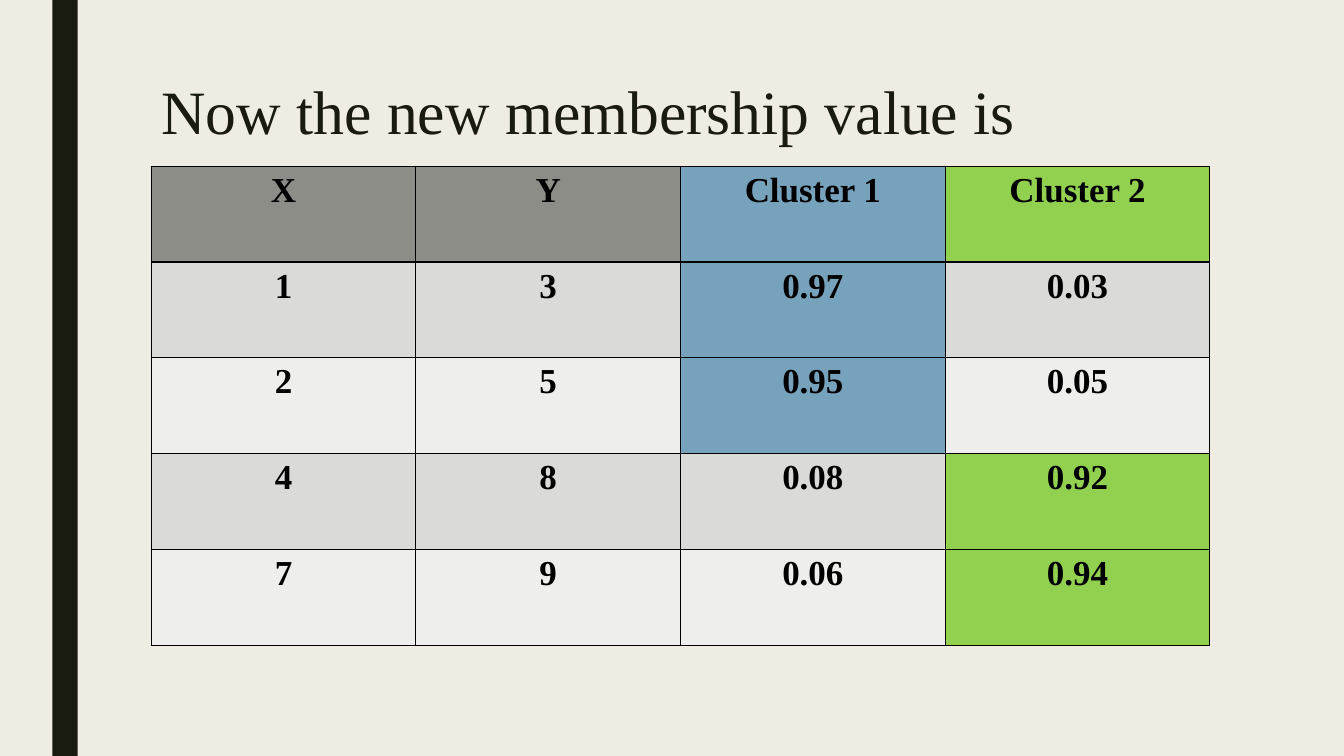
from lxml import etree
from pptx import Presentation
from pptx.dml.color import RGBColor as RGB
from pptx.enum.shapes import MSO_SHAPE as SHAPE
from pptx.enum.text import MSO_ANCHOR as ANCHOR, PP_ALIGN as ALIGN
from pptx.oxml.ns import qn
from pptx.util import Inches, Pt

COLORS = {
    "back": "EFEDE3", "dark": "191B0E", "black": "000000", "head": "8C8D86",
    "odd": "DADBD9", "even": "EEEEED", "blue": "77A2BB", "green": "92D050",
}
FONT = "Times New Roman"


def color(name):
    return RGB.from_string(COLORS[name])


def add_run(para, text, size, tint, bold=False):
    run = para.add_run()
    run.text = text
    font = run.font
    font.name, font.size, font.bold = FONT, Pt(size), bold
    font.color.rgb = color(tint)


# Slide and background
prs = Presentation()
prs.slide_width, prs.slide_height = Inches(13.33), Inches(7.5)
slide = prs.slides.add_slide(prs.slide_layouts[5])
slide.background.fill.solid()
slide.background.fill.fore_color.rgb = color("back")

# Side bar
bar = slide.shapes.add_shape(SHAPE.RECTANGLE, Inches(0.52), 0, Inches(0.25), Inches(7.5))
bar.shadow.inherit = False
bar.fill.solid()
bar.fill.fore_color.rgb = color("dark")
bar.line.fill.background()

# Title
title = slide.shapes.title
title.left, title.top = Inches(1.5), Inches(0.75)
title.width, title.height = Inches(10.5), Inches(0.78)
title.text_frame.vertical_anchor = ANCHOR.MIDDLE
para = title.text_frame.paragraphs[0]
para.alignment = ALIGN.LEFT
para.line_spacing = 0.89
add_run(para, "Now the new membership value is", 44, "dark")

# Membership table: the larger value marks the cluster of each point
points = [(1, 3, 0.97, 0.03), (2, 5, 0.95, 0.05), (4, 8, 0.08, 0.92), (7, 9, 0.06, 0.94)]
rows = [("X", "Y", "Cluster 1", "Cluster 2")] + points
marks = {2: "blue", 3: "green"}
table = slide.shapes.add_table(
    len(rows), 4, Inches(1.5), Inches(1.65), Inches(10.5), Inches(4.75)).table

for r, row in enumerate(rows):
    table.rows[r].height = Inches(0.95)
    base = "head" if r == 0 else "odd" if r % 2 else "even"
    for c, value in enumerate(row):
        cell = table.cell(r, c)
        para = cell.text_frame.paragraphs[0]
        para.alignment = ALIGN.CENTER
        add_run(para, str(value), 25, "black", True)

        # Borders come before the fill in the cell properties
        props = cell._tc.get_or_add_tcPr()
        for side in ("lnL", "lnR", "lnT", "lnB"):
            line = etree.SubElement(props, qn("a:" + side), w=str(Pt(1)))
            fill = etree.SubElement(line, qn("a:solidFill"))
            etree.SubElement(fill, qn("a:srgbClr"), val=COLORS["black"])

        marked = c in marks and (r == 0 or value > 0.5)
        cell.fill.solid()
        cell.fill.fore_color.rgb = color(marks[c] if marked else base)

prs.save("out.pptx")
